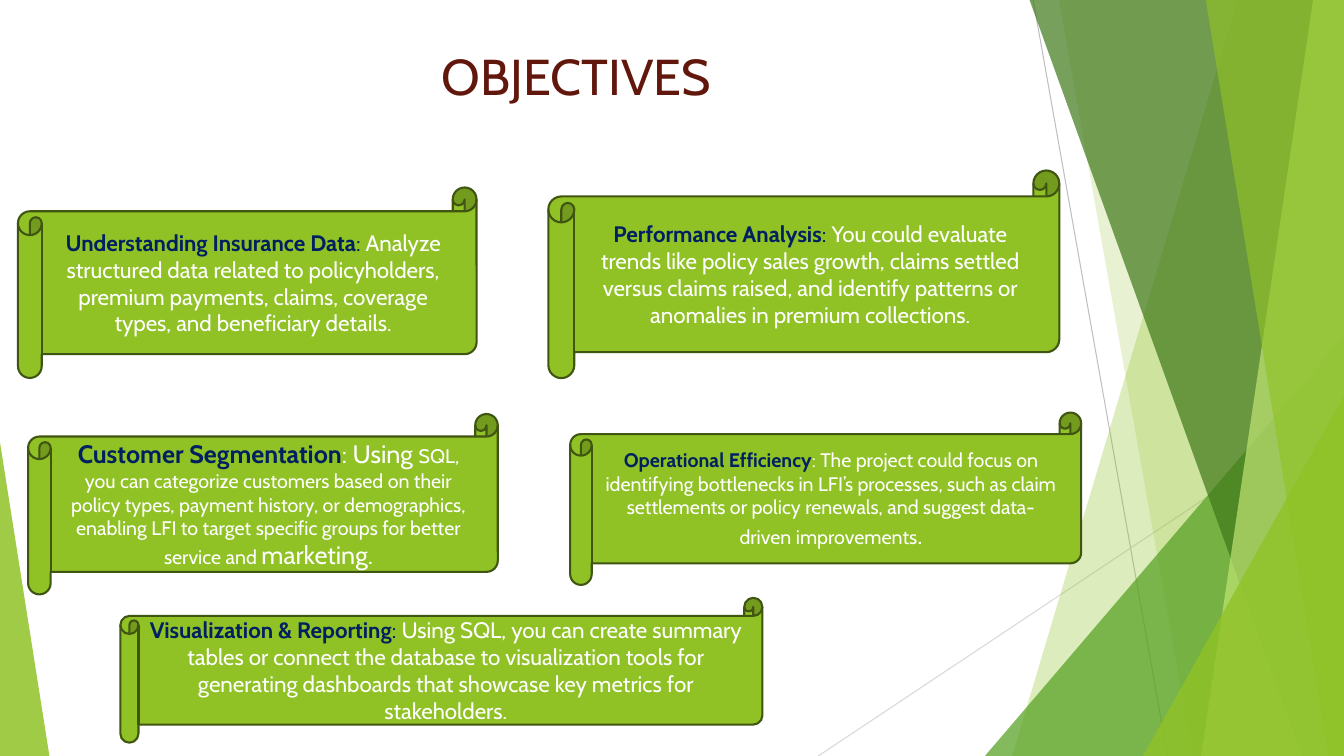
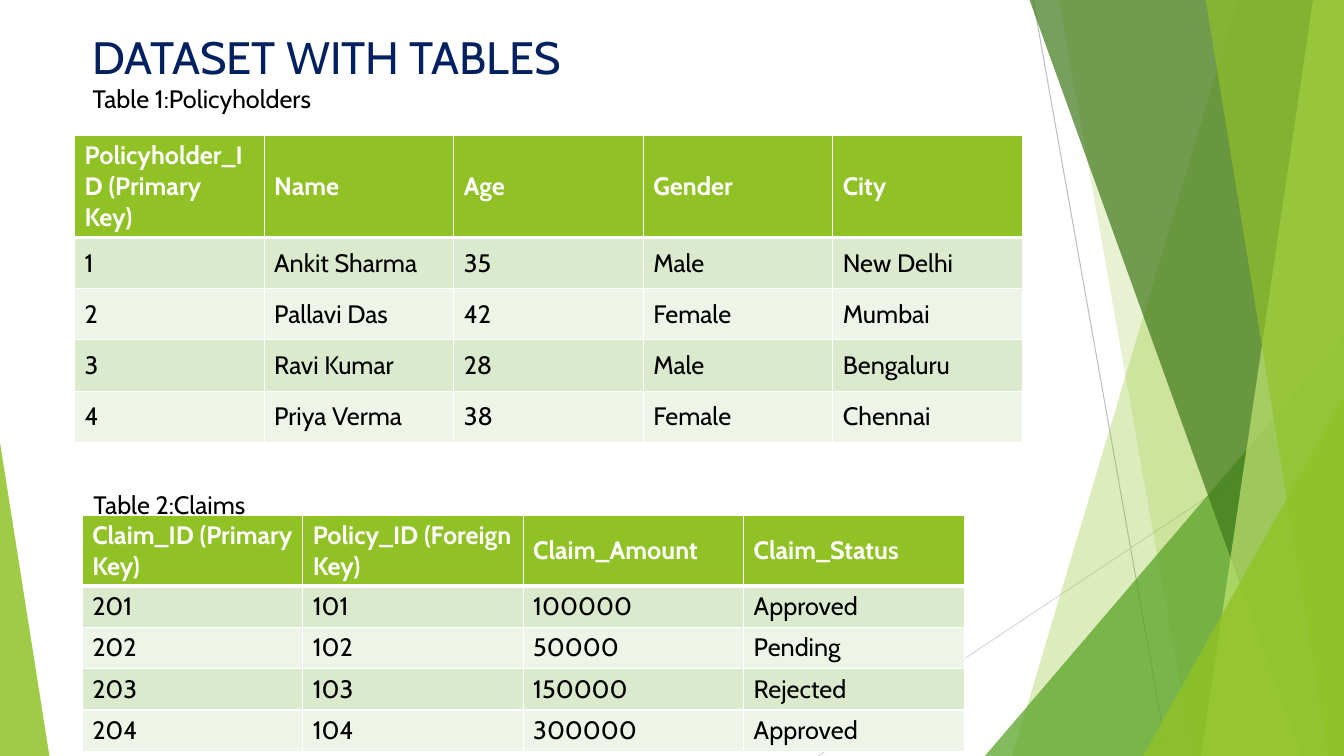
from lxml import etree
from pptx import Presentation
from pptx.dml.color import RGBColor
from pptx.enum import shapes, text
from pptx.oxml import ns
from pptx.util import Pt

COLORS = {
    "lime": "90C226", "green": "54A021", "forest": "3F7819", "pale": "C0E474",
    "outline": "3F5511", "navy": "002060", "maroon": "62170D",
    "white": "FFFFFF", "black": "000000", "gray": "BFBFBF", "light gray": "D9D9D9",
    "odd row": "DBE9CD", "even row": "EEF4E8",
}
RGB = {name: RGBColor.from_string(value) for name, value in COLORS.items()}
WIDTH, HEIGHT = 960, 540
CENTER, LEFT = text.PP_ALIGN.CENTER, text.PP_ALIGN.LEFT


def write(paragraph, runs, align=LEFT):
    """Fill a paragraph with runs given as (text, size, color, bold)."""
    paragraph.alignment = align
    for words, size, color, bold in runs:
        run = paragraph.add_run()
        run.text = words
        for key, value in {"name": "Cabin", "size": Pt(size), "bold": bold}.items():
            setattr(run.font, key, value)
        run.font.color.rgb = RGB[color]


def add_grid(slide, left, top, column_width, columns, heights):
    """Add a table with equal columns and the given row heights."""
    grid = slide.shapes.add_table(
        len(heights), columns, Pt(left), Pt(top),
        Pt(column_width * columns), Pt(sum(heights))).table
    for column in grid.columns:
        column.width = Pt(column_width)
    for row, height in zip(grid.rows, heights):
        row.height = Pt(height)
    return grid


prs = Presentation()
prs.slide_width, prs.slide_height = Pt(WIDTH), Pt(HEIGHT)
objectives, dataset = [prs.slides.add_slide(prs.slide_layouts[6]) for _ in range(2)]

# Shared backdrop: thin lines, then translucent facets from back to front.
# A panel runs to the right edge (top x, bottom x); a triangle is (box, apex).
hairlines = [((738, 0, 834, 540), "gray"), ((960, 290, 584.5, 540), "light gray")]
facets = [
    ("panel", (884, 723), "lime", 30),
    ("panel", (756.4, 852), "lime", 20),
    ("triangle", ((703.5, 240, 256.5, 300), 1), "green", 72),
    ("panel", (735.4, 930), "forest", 70),
    ("panel", (938, 858), "pale", 70),
    ("panel", (861.3, 949), "lime", 65),
    ("triangle", ((816.5, 283, 143.5, 257), 1), "lime", 80),
    ("triangle", ((0, 316, 35.3, 224), 0), "lime", 85),
]
# Titles: slide, box, paragraphs of runs, alignment
titles = [
    (objectives, (73.3, 29, 677, 60), [[("OBJECTIVES", 36, "maroon", False)]], CENTER),
    (dataset, (59, 17.2, 672, 70), [
        [("DATASET WITH TABLES", 32.4, "navy", False)],
        [("Table 1:Policyholders", 18, "black", False)]], LEFT),
]
for slide, title_box, lines, align in titles:
    for ends, color in hairlines:
        hairline = slide.shapes.add_connector(shapes.MSO_CONNECTOR.STRAIGHT, *map(Pt, ends))
        hairline.line.color.rgb = RGB[color]
        hairline.line.width = Pt(0.75)
        etree.SubElement(hairline._element.spPr, ns.qn("a:effectLst"))
    for kind, geometry, color, opacity in facets:
        if kind == "panel":
            top_x, bottom_x = geometry
            corners = [(WIDTH, 0), (WIDTH, HEIGHT), (bottom_x, HEIGHT)]
            builder = slide.shapes.build_freeform(Pt(top_x), 0)
            builder.add_line_segments([(Pt(x), Pt(y)) for x, y in corners], close=True)
            facet = builder.convert_to_shape()
        else:
            box, apex = geometry
            facet = slide.shapes.add_shape(
                shapes.MSO_SHAPE.ISOSCELES_TRIANGLE, *map(Pt, box))
            facet.adjustments[0] = apex
        facet.shadow.inherit = False
        facet.line.fill.background()
        facet.fill.solid()
        facet.fill.fore_color.rgb = RGB[color]
        tint = facet._element.spPr.find(".//" + ns.qn("a:srgbClr"))
        etree.SubElement(tint, ns.qn("a:alpha"), val=str(opacity * 1000))
    frame = slide.shapes.add_textbox(*map(Pt, title_box)).text_frame
    frame.word_wrap = True
    for index, runs in enumerate(lines):
        write(frame.add_paragraph() if index else frame.paragraphs[0], runs, align)

# Slide 1: objectives on scrolls
goals = [
    ((12.8, 133.9, 327.6, 136.1), [
        ("Understanding Insurance Data", 16, "navy", True),
        (": ", 16, "navy", False),
        ("Analyze structured data related to policyholders, premium payments, claims, "
         "coverage types, and beneficiary details.", 16, "white", False)]),
    ((391.7, 121.8, 365, 148.3), [
        ("Performance Analysis", 16, "navy", True),
        (": ", 16, "navy", False),
        ("You could evaluate trends like policy sales growth, claims settled versus claims "
         "raised, and identify patterns or anomalies in premium collections.",
         16, "white", False)]),
    ((20.1, 295.7, 335.5, 128.9), [
        ("Customer Segmentation", 18, "navy", True),
        (": Using ", 18, "white", False),
        ("SQL, you can categorize customers based on their policy types, payment history, "
         "or demographics, enabling LFI to target specific groups for better service and ",
         14, "white", False),
        ("marketing.", 18, "white", False)]),
    ((407.3, 294.7, 365, 123.1), [
        ("Operational Efficiency", 14, "navy", True),
        (": The project could focus on identifying bottlenecks in LFI’s processes, such as "
         "claim settlements or policy renewals, and suggest data-driven improvements",
         14, "white", False),
        (".", 18, "white", False)]),
    ((86, 427, 458.6, 103.5), [
        ("Visualization & Reporting", 16, "navy", True),
        (": ", 16, "navy", False),
        ("Using SQL, you can create summary tables or connect the database to visualization "
         "tools for generating dashboards that showcase key metrics for stakeholders.",
         16, "white", False)]),
]
for box, runs in goals:
    scroll = objectives.shapes.add_shape(shapes.MSO_SHAPE.HORIZONTAL_SCROLL, *map(Pt, box))
    scroll.shadow.inherit = False
    scroll.fill.solid()
    scroll.fill.fore_color.rgb = RGB["lime"]
    scroll.line.color.rgb = RGB["outline"]
    scroll.line.width = Pt(1.5)
    scroll.text_frame.word_wrap = True
    scroll.text_frame.vertical_anchor = text.MSO_ANCHOR.MIDDLE
    write(scroll.text_frame.paragraphs[0], runs, CENTER)

# Slide 2: an unfilled table carries the caption of the claims in its last row
caption_grid = add_grid(dataset, 53.3, 229.8, 135.4, 5, [29.1] * 4 + [51])
for cell in caption_grid.iter_cells():
    cell.fill.background()
write(caption_grid.cell(4, 0).text_frame.paragraphs[0],
      [("Table 2:Claims", 18, "black", False)], CENTER)

policyholders = [
    ("Policyholder_ID (Primary Key)", "Name", "Age", "Gender", "City"),
    ("1", "Ankit Sharma", "35", "Male", "New Delhi"),
    ("2", "Pallavi Das", "42", "Female", "Mumbai"),
    ("3", "Ravi Kumar", "28", "Male", "Bengaluru"),
    ("4", "Priya Verma", "38", "Female", "Chennai"),
]
claims = [
    ("Claim_ID (Primary Key)", "Policy_ID (Foreign Key)", "Claim_Amount", "Claim_Status"),
    ("201", "101", "100000", "Approved"),
    ("202", "102", "50000", "Pending"),
    ("203", "103", "150000", "Rejected"),
    ("204", "104", "300000", "Approved"),
]
# (rows, left, top, column width, header height, row height)
tables = [
    (policyholders, 53.3, 96.6, 135.4, 73, 36.6),
    (claims, 58.7, 368, 157.5, 50.3, 29.6),
]
for rows, left, top, column_width, header_height, row_height in tables:
    heights = [header_height] + [row_height] * (len(rows) - 1)
    grid = add_grid(dataset, left, top, column_width, len(rows[0]), heights)
    for r, values in enumerate(rows):
        header = r == 0
        row_fill = "lime" if header else "odd row" if r % 2 else "even row"
        # The rule under the header is heavier than the others.
        borders = {"lnL": 1, "lnR": 1, "lnT": 3 if r == 1 else 1, "lnB": 3 if header else 1}
        for c, value in enumerate(values):
            cell = grid.cell(r, c)
            cell.vertical_anchor = text.MSO_ANCHOR.MIDDLE
            for side, weight in borders.items():
                edge = etree.SubElement(
                    cell._tc.get_or_add_tcPr(), ns.qn("a:" + side), w=str(Pt(weight)))
                paint = etree.SubElement(edge, ns.qn("a:solidFill"))
                etree.SubElement(paint, ns.qn("a:srgbClr"), val=COLORS["white"])
            cell.fill.solid()
            cell.fill.fore_color.rgb = RGB[row_fill]
            write(cell.text_frame.paragraphs[0],
                  [(value, 18, "white" if header else "black", header)])

prs.save("out.pptx")
